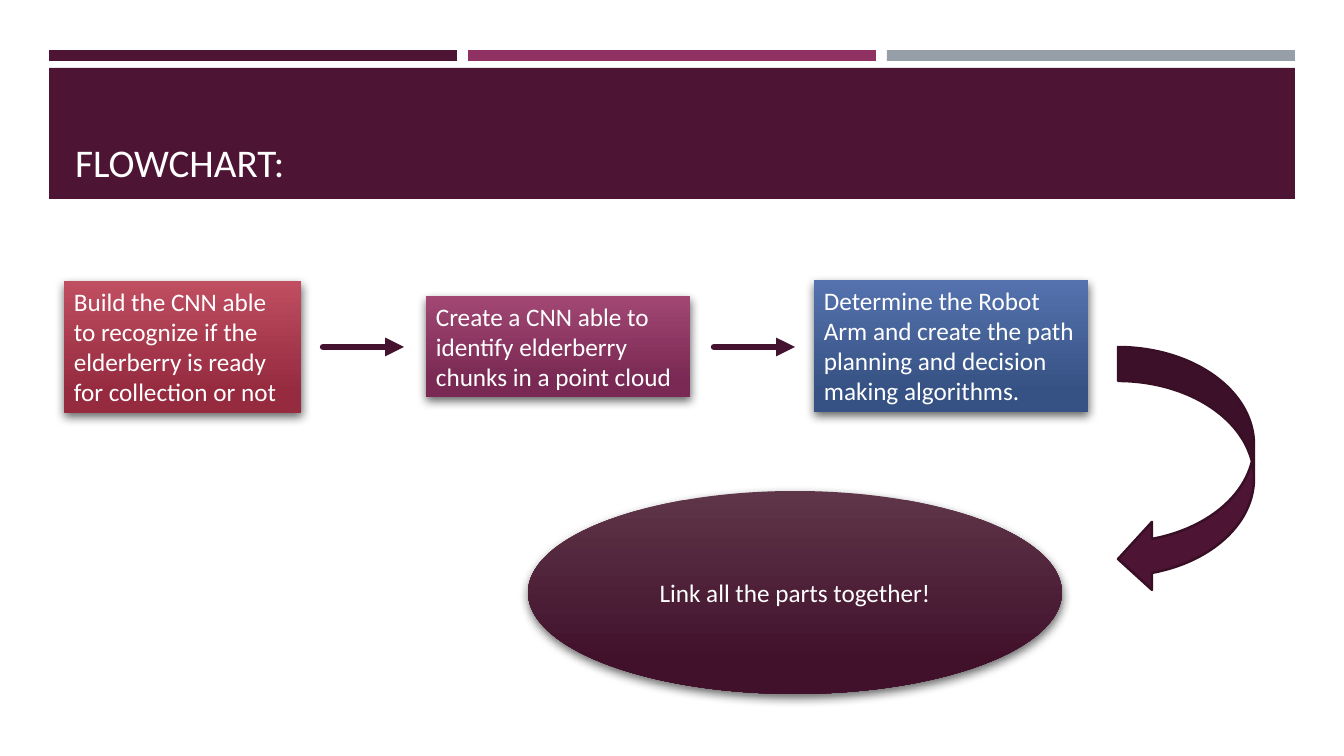
from lxml import etree
from pptx import Presentation
from pptx import util as u
from pptx.dml.color import RGBColor
from pptx.enum import shapes, text
from pptx.oxml import ns

SCALE = 914400 / 100.8
WHITE = RGBColor(0xFF, 0xFF, 0xFF)
PLUM = RGBColor(0x4D, 0x14, 0x34)
DARK = RGBColor(0x39, 0x0F, 0x26)
ARROW = RGBColor(0x45, 0x12, 0x2F)
MAGENTA = RGBColor(0x90, 0x31, 0x63)
GRAY = RGBColor(0x96, 0x9F, 0xA7)
RED = RGBColor(0xBF, 0x4E, 0x61), RGBColor(0x96, 0x2A, 0x3F)
PINK = RGBColor(0xA2, 0x47, 0x74), RGBColor(0x79, 0x29, 0x53)
BLUE = RGBColor(0x54, 0x72, 0xAE), RGBColor(0x36, 0x52, 0x84)
WINE = RGBColor(0x5F, 0x36, 0x49), RGBColor(0x41, 0x11, 0x2C)
KIND = shapes.MSO_SHAPE
ALIGN = text.PP_ALIGN
ANCHOR = text.MSO_ANCHOR


def px(*lengths):
    return [u.Emu(round(n * SCALE)) for n in lengths]


def add(parent, tag, **attrs):
    return etree.SubElement(parent, ns.qn(tag), attrs)


class Deck:
    font = "Calibri"

    def __init__(self):
        self.prs = Presentation()
        self.prs.slide_width, self.prs.slide_height = px(1344, 756)
        self.slide = self.prs.slides.add_slide(self.prs.slide_layouts[5])

    def label(self, shape, words, size, align, anchor):
        frame = shape.text_frame
        frame.text = words
        frame.word_wrap = True
        frame.vertical_anchor = anchor
        para = frame.paragraphs[0]
        para.alignment = align
        font = para.runs[0].font
        font.name, font.size = self.font, u.Pt(size)
        font.color.rgb = WHITE

    def title(self, words, *place):
        shape = self.slide.shapes.title
        shape.left, shape.top, shape.width, shape.height = px(*place)
        self.label(shape, words, 28, ALIGN.LEFT, ANCHOR.BOTTOM)

    def shape(self, kind, place, color=None, edge=None):
        shape = self.slide.shapes.add_shape(kind, *px(*place))
        shape.shadow.inherit = False
        if color:
            shape.fill.solid()
            shape.fill.fore_color.rgb = color
        if edge:
            shape.line.color.rgb = edge
            shape.line.width = u.Pt(1.75)
        else:
            shape.line.fill.background()
        return shape

    def step(self, words, place, colors, kind=KIND.RECTANGLE,
             align=ALIGN.LEFT, anchor=ANCHOR.TOP):
        """Add a shaded, shadowed shape with text."""
        shape = self.shape(kind, place)
        shape.fill.gradient()
        shape.fill.gradient_angle = 270
        for stop, color, spot in zip(shape.fill.gradient_stops, colors, (0, 0.84)):
            stop.color.rgb = color
            stop.position = spot
        self.shade(shape)
        self.label(shape, words, 18, align, anchor)

    def shade(self, shape):
        effects = shape._element.spPr.find(ns.qn("a:effectLst"))
        shadow = add(effects, "a:outerShdw", blurRad=str(u.Pt(7)),
                     dist=str(u.Pt(3)), dir=str(84 * 60000), rotWithShape="0")
        add(add(shadow, "a:srgbClr", val="000000"), "a:alpha", val="60000")

    def arrow(self, x, y, width):
        line = self.slide.shapes.add_connector(
            shapes.MSO_CONNECTOR.STRAIGHT, *px(x, y, x + width, y))
        line.line.color.rgb = ARROW
        line.line.width = u.Pt(4.5)
        props = line._element.spPr
        stroke = props.find(ns.qn("a:ln"))
        stroke.set("cap", "rnd")
        add(stroke, "a:tailEnd", type="triangle")
        add(props, "a:effectLst")


def main():
    deck = Deck()
    for i, color in enumerate((PLUM, MAGENTA, GRAY)):
        deck.shape(KIND.RECTANGLE, (49 + 419 * i, 50, 408, 11), color)
    band = deck.shape(KIND.RECTANGLE, (49, 68, 1246, 131), PLUM)
    title = deck.slide.shapes.title
    band._element.addnext(title._element)
    deck.title("FLOWCHART:", 65, 78, 1216, 112)

    deck.step("Build the CNN able to recognize if the elderberry is ready "
              "for collection or not", (64, 281, 237, 132), RED)
    deck.step("Create a CNN able to identify elderberry chunks in a point cloud",
              (426, 296, 264, 101), PINK)
    deck.step("Determine the Robot Arm and create the path planning and "
              "decision making algorithms.", (814, 280, 274, 132), BLUE)
    for x in (323, 714):
        deck.arrow(x, 347, 81)
    deck.shape(KIND.CURVED_LEFT_ARROW, (1118, 347, 136, 246), PLUM, DARK)
    deck.step("Link all the parts together!", (528, 491, 534, 203), WINE,
              KIND.OVAL, ALIGN.CENTER, ANCHOR.MIDDLE)
    deck.prs.save("out.pptx")


if __name__ == "__main__":
    main()
